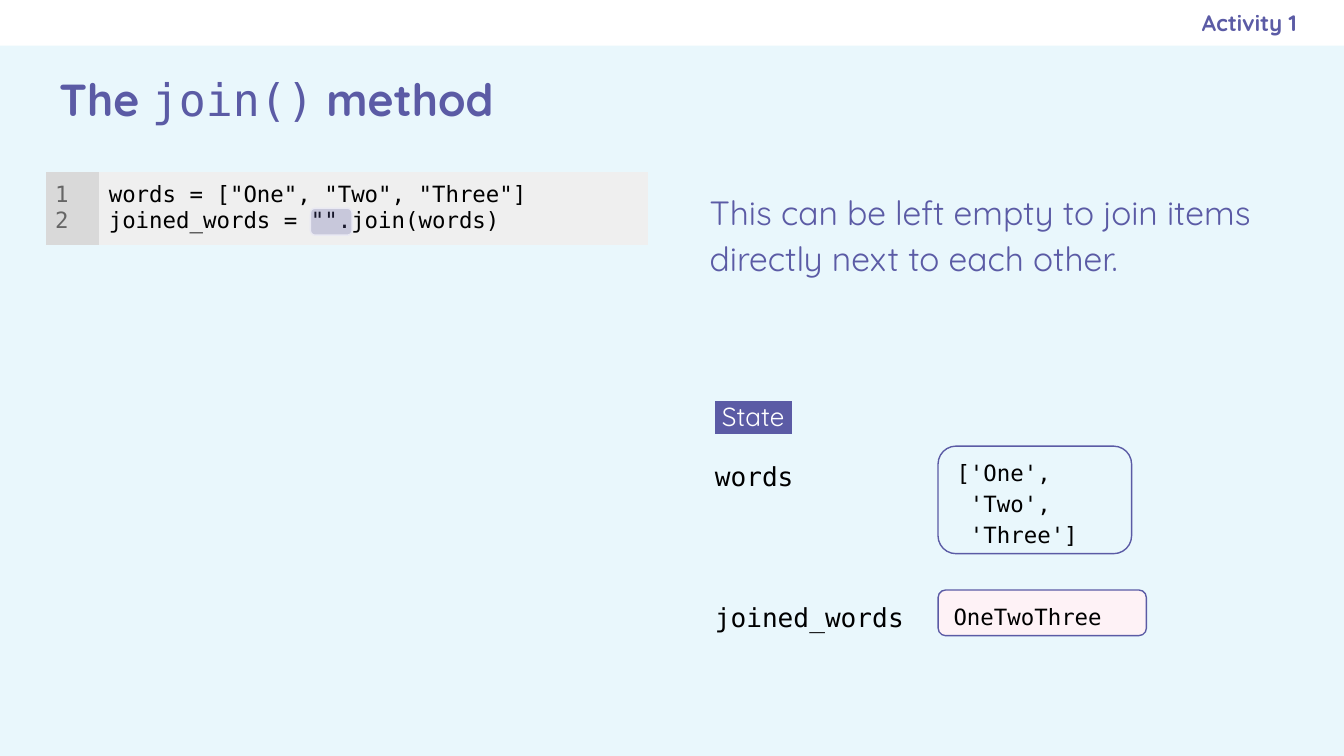
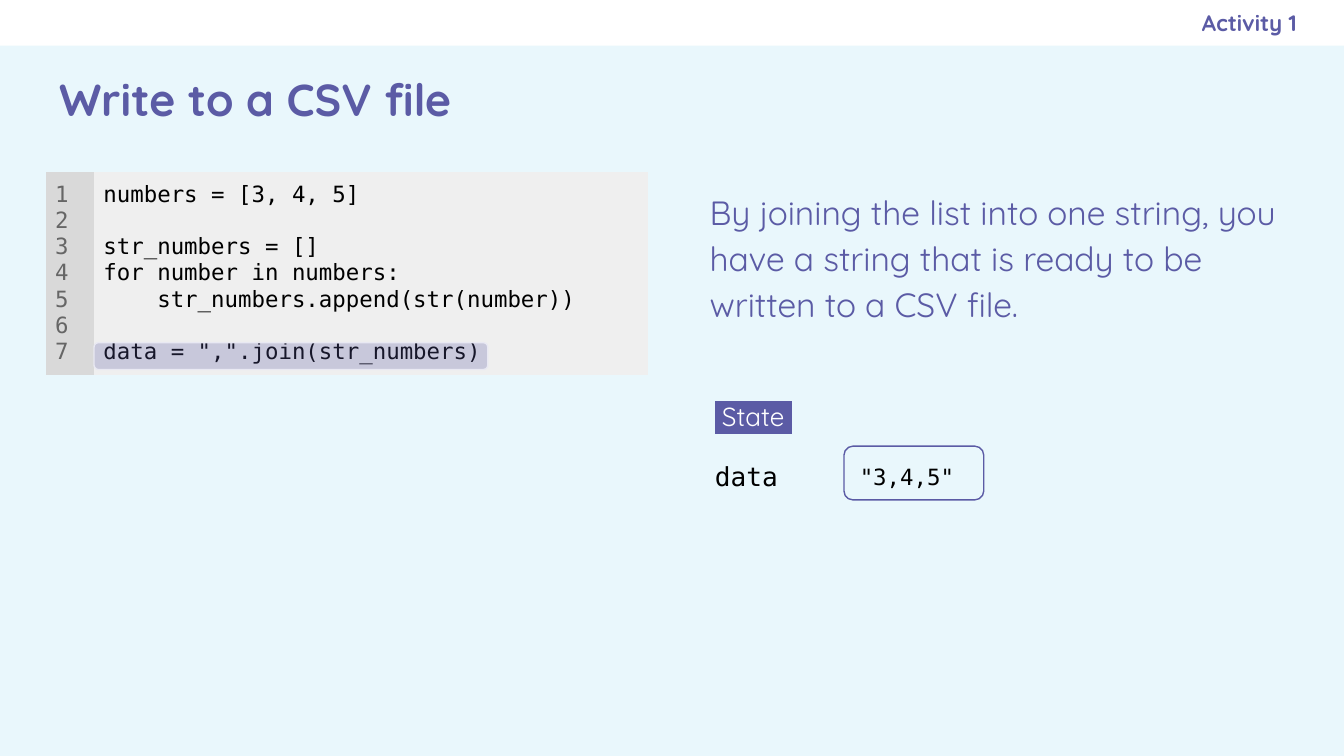
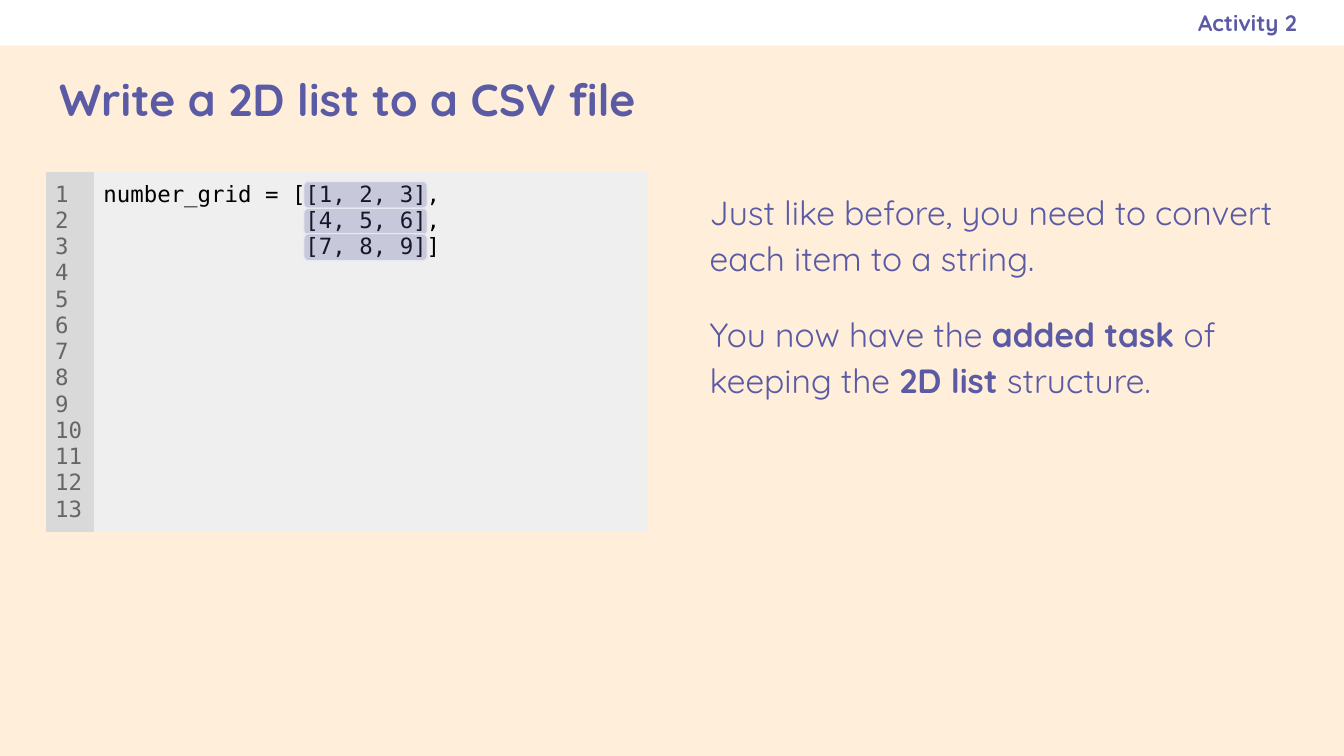
import pptx
import pptx.util
import pptx.dml.color
import pptx.enum.shapes
import pptx.enum.text
import pptx.oxml.ns
from lxml import etree

Inches = pptx.util.Inches
Pt = pptx.util.Pt
RGBColor = pptx.dml.color.RGBColor
SHAPE = pptx.enum.shapes.MSO_SHAPE
ALIGN = pptx.enum.text.PP_ALIGN
ANCHOR = pptx.enum.text.MSO_ANCHOR
qn = pptx.oxml.ns.qn

# Colours and fonts
PURPLE = RGBColor(0x5B, 0x5B, 0xA5)
PALE_PURPLE = RGBColor(0xE9, 0xE9, 0xF3)
BLUE = RGBColor(0xE9, 0xF7, 0xFC)
PEACH = RGBColor(0xFF, 0xEF, 0xDA)
PINK = RGBColor(0xFE, 0xF2, 0xF6)
WHITE = RGBColor(0xFF, 0xFF, 0xFF)
BLACK = RGBColor(0, 0, 0)
NUMBER_GREY = RGBColor(0x66, 0x66, 0x66)
GUTTER_GREY = RGBColor(0xD9, 0xD9, 0xD9)
CODE_GREY = RGBColor(0xEF, 0xEF, 0xEF)
SANS, MONO = "Quicksand", "DejaVu Sans Mono"
NO_GRID_STYLE = "{2D5ABB26-0587-4C30-8999-92F81FD0307C}"

# Text styles
TITLE = dict(name=SANS, size=Pt(24), bold=True, color=PURPLE)
HEADER = dict(name=SANS, size=Pt(12), bold=True, color=PURPLE)
BODY = dict(name=SANS, size=Pt(18), bold=False, color=PURPLE)
STATE = dict(name=SANS, size=Pt(14), color=WHITE)
VARIABLE = dict(name=MONO, size=Pt(14), color=BLACK)
CODE = dict(name=MONO, size=Pt(12), color=BLACK)
LINE_NUMBER = dict(CODE, color=NUMBER_GREY)
STRONG = dict(bold=True)
CODE_WORD = dict(name=MONO, bold=False)

# Shared measures, in inches
CODE_LEFT, CODE_TOP, CODE_WIDTH = 0.34, 1.28, 4.48
CELL_INSET, STATE_LEFT, MARK_HEIGHT = 0.07, 5.22, 0.2

# Content: a paragraph is a list of (text, changes to the style);
# marks are (left, top, width); state is (name, top, lines, value box, fill)
SLIDES = [
    dict(
        background=BLUE, activity="Activity 1",
        title=[("The ", {}), ("join()", CODE_WORD), (" method", {})],
        body=[[("This can be left empty to join items directly next to each other.", {})]],
        code=['words = ["One", "Two", "Three"]',
              'joined_words = "".join(words)'],
        numbers=2, height=0.54, gutter=0.4, marks=[(2.31, 1.55, 0.31)],
        state=[("words", 3.29, ["['One',", " 'Two',", " 'Three']"],
                (6.98, 3.32, 1.44, 0.8), None),
               ("joined_words", 4.34, ["OneTwoThree"],
                (6.98, 4.39, 1.55, 0.34), PINK)],
    ),
    dict(
        background=BLUE, activity="Activity 1",
        title=[("Write to a CSV file", {})],
        body=[[("By joining the list into one string, you have a string "
                "that is ready to be written to a CSV file.", {})]],
        code=["numbers = [3, 4, 5]",
              "",
              "str_numbers = []",
              "for number in numbers:",
              "    str_numbers.append(str(number))",
              "",
              'data = ",".join(str_numbers)'],
        numbers=7, height=1.5, gutter=0.36, marks=[(0.7, 2.55, 2.93)],
        state=[("data", 3.29, ['"3,4,5"'], (6.28, 3.32, 1.04, 0.4), None)],
    ),
    dict(
        background=PEACH, activity="Activity 2",
        title=[("Write a 2D list to a CSV file", {})],
        body=[[("Just like before, you need to convert each item to a string.", {})],
              [("You now have the ", {}), ("added task", STRONG), (" of keeping the ", {}),
               ("2D list", STRONG), (" structure.", {})]],
        code=["number_grid = [[1, 2, 3],",
              "               [4, 5, 6],",
              "               [7, 8, 9]]"],
        numbers=13, height=2.67, gutter=0.36,
        marks=[(2.26, top, 0.92) for top in (1.35, 1.55, 1.74)],
        state=[],
    ),
]


def plain(lines):
    return [[(line, {})] for line in lines]


def place(shape, *box):
    for side, length in zip(("left", "top", "width", "height"), box):
        setattr(shape, side, Inches(length))


def set_frame(frame, insets=(0.1, 0.1, 0.1, 0.1), anchor=ANCHOR.TOP):
    frame.word_wrap = True
    frame.auto_size = pptx.enum.text.MSO_AUTO_SIZE.NONE
    frame.vertical_anchor = anchor
    for side, inset in zip(("left", "top", "right", "bottom"), insets):
        setattr(frame, "margin_" + side, Inches(inset))


def size_empty_line(para, style):
    """Give an empty code line the font and size of the code."""
    size = str(int(style["size"].pt * 100))
    end = etree.SubElement(para._p, qn("a:endParaRPr"), sz=size)
    etree.SubElement(end, qn("a:latin"), typeface=style["name"])


def write(frame, paragraphs, style, spacing=1.0, gap=0, align=ALIGN.LEFT):
    for index, spans in enumerate(paragraphs):
        para = frame.add_paragraph() if index else frame.paragraphs[0]
        layout = dict(alignment=align, line_spacing=spacing,
                      space_before=Pt(gap if index else 0), space_after=Pt(0))
        for name, value in layout.items():
            setattr(para, name, value)
        for text, changes in spans:
            if not text:
                size_empty_line(para, style)
                continue
            span = para.add_run()
            span.text = text
            for name, value in {**style, **changes}.items():
                if name == "color":
                    span.font.color.rgb = value
                else:
                    setattr(span.font, name, value)


def remove_bullets(frame):
    for para in frame.paragraphs:
        properties = para._p.get_or_add_pPr()
        properties.set("marL", "0")
        properties.set("indent", "0")
        etree.SubElement(properties, qn("a:buNone"))


def add_box(page, kind, box, fill=None, line=None):
    shape = page.shapes.add_shape(kind, *map(Inches, box))
    shape.shadow.inherit = False
    if fill is None:
        shape.fill.background()
    else:
        shape.fill.solid()
        shape.fill.fore_color.rgb = fill
    if line is None:
        shape.line.fill.background()
    else:
        shape.line.color.rgb = line
        shape.line.width = Pt(0.75)
    return shape


def add_text(page, box, paragraphs, style, insets=(0.1, 0.1, 0.1, 0.1),
             anchor=ANCHOR.TOP, **layout):
    frame = page.shapes.add_textbox(*map(Inches, box)).text_frame
    set_frame(frame, insets, anchor)
    write(frame, paragraphs, style, **layout)
    return frame


def add_code(page, content):
    box = (CODE_LEFT, CODE_TOP, CODE_WIDTH, content["height"])
    table = page.shapes.add_table(1, 2, *map(Inches, box)).table
    table.first_row = table.horz_banding = False
    table._tbl.tblPr.find(qn("a:tableStyleId")).text = NO_GRID_STYLE
    numbers = [str(number + 1) for number in range(content["numbers"])]
    gutter = content["gutter"]
    columns = [(gutter, numbers, LINE_NUMBER, GUTTER_GREY),
               (CODE_WIDTH - gutter, content["code"], CODE, CODE_GREY)]
    for index, (width, lines, style, fill) in enumerate(columns):
        table.columns[index].width = Inches(width)
        cell = table.cell(0, index)
        cell.fill.solid()
        cell.fill.fore_color.rgb = fill
        for side in ("left", "top", "right", "bottom"):
            setattr(cell, "margin_" + side, Inches(CELL_INSET))
        write(cell.text_frame, plain(lines), style)


def add_mark(page, left, top, width):
    mark = add_box(page, SHAPE.ROUNDED_RECTANGLE, (left, top, width, MARK_HEIGHT),
                   PURPLE, PALE_PURPLE)
    colour = mark.element.spPr.find(qn("a:solidFill"))[0]
    etree.SubElement(colour, qn("a:alpha"), val="26000")


def add_state(page, variables):
    label = add_text(page, (STATE_LEFT, 2.85, 2.33, 0.4), plain([" State "]), STATE,
                     spacing=1.14)
    fill = label.paragraphs[0].runs[0]._r.rPr.find(qn("a:solidFill"))
    highlight = etree.Element(qn("a:highlight"))
    etree.SubElement(highlight, qn("a:srgbClr"), val=str(PURPLE))
    fill.addnext(highlight)
    for name, top, lines, box, colour in variables:
        add_text(page, (STATE_LEFT, top, 1.82, 0.4), plain([name]), VARIABLE, spacing=1.15)
        value = add_box(page, SHAPE.ROUNDED_RECTANGLE, box, colour, PURPLE)
        set_frame(value.text_frame, (0.1, 0.02, 0.1, 0), ANCHOR.MIDDLE)
        write(value.text_frame, plain(lines), CODE, spacing=1.15)


def add_page(deck, content):
    page = deck.slides.add_slide(deck.slide_layouts[1])
    page.background.fill.solid()
    page.background.fill.fore_color.rgb = content["background"]

    # Title and explanation
    title, body = page.placeholders
    place(title, 0.34, 0.35, 9.32, 0.76)
    set_frame(title.text_frame, anchor=ANCHOR.MIDDLE)
    write(title.text_frame, [content["title"]], TITLE)
    place(body, 5.18, 1.28, 4.48, 4)
    set_frame(body.text_frame)
    write(body.text_frame, content["body"], BODY, spacing=1.15, gap=16)
    remove_bullets(body.text_frame)

    # Activity name, code and program state
    add_text(page, (5.75, 0, 3.9, 0.34), plain([content["activity"]]), HEADER,
             (0.1, 0.1, 0, 0.1), ANCHOR.MIDDLE, align=ALIGN.RIGHT)
    add_code(page, content)
    if content["state"]:
        add_state(page, content["state"])
    for mark in content["marks"]:
        add_mark(page, *mark)
    return page


def main():
    deck = pptx.Presentation()
    deck.slide_width = Inches(10)
    deck.slide_height = deck.slide_width * 9 // 16
    pages = [add_page(deck, content) for content in SLIDES]

    # The white top band belongs to the layout that the slides share
    band = add_box(pages[0], SHAPE.RECTANGLE, (0, 0, 10, 0.34), WHITE)
    deck.slide_layouts[1].shapes.element.insert(2, band.element)
    deck.save("out.pptx")


if __name__ == "__main__":
    main()
